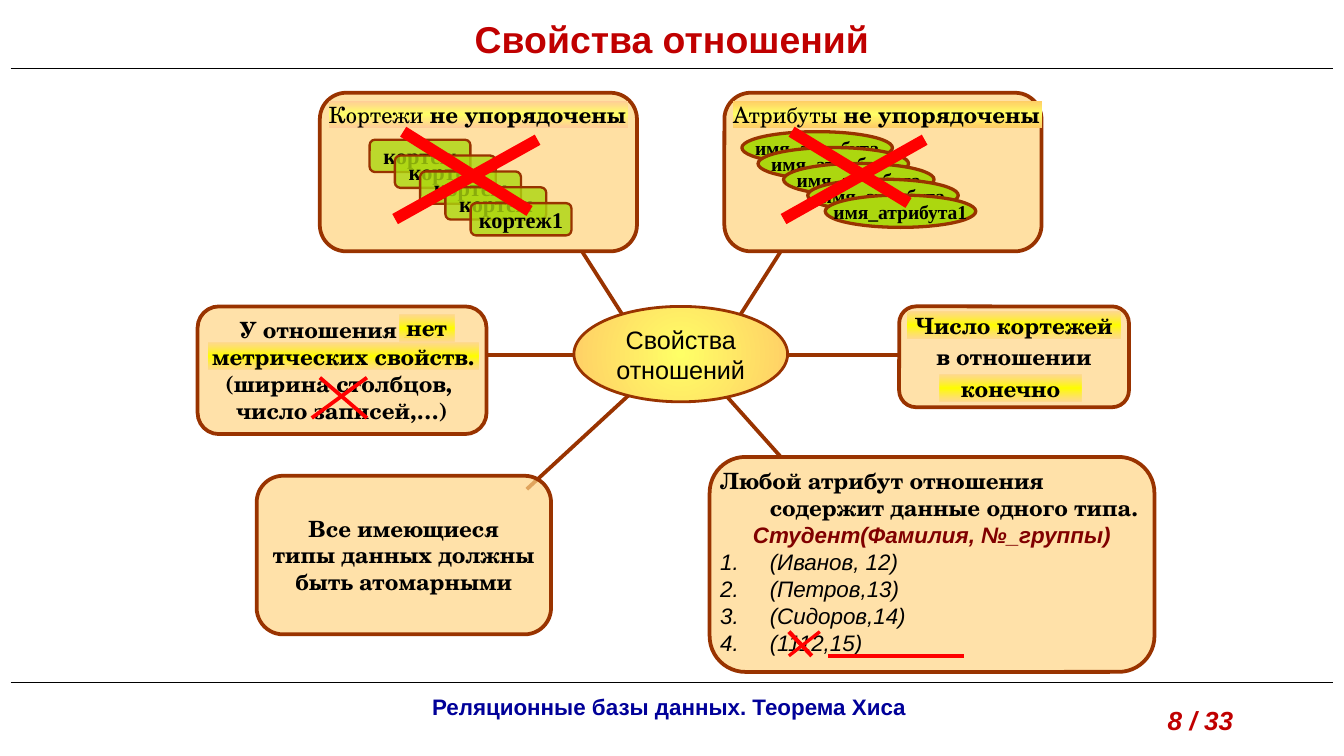
from lxml.etree import SubElement
from pptx import Presentation
from pptx.dml.color import RGBColor
from pptx.enum.shapes import MSO_CONNECTOR, MSO_SHAPE
from pptx.enum.text import MSO_ANCHOR, PP_ALIGN
from pptx.oxml import parse_xml
from pptx.oxml.ns import nsdecls, qn
from pptx.util import Inches, Pt

BLACK = RGBColor(0x00, 0x00, 0x00)
NAVY = RGBColor(0x00, 0x00, 0x99)
CRIMSON = RGBColor(0xC0, 0x00, 0x00)
MAROON = RGBColor(0x80, 0x00, 0x00)
BROWN = RGBColor(0x99, 0x33, 0x00)
RED = RGBColor(0xFF, 0x00, 0x00)
GOLD = RGBColor(0xFF, 0xCC, 0x00)
AMBER = RGBColor(0xFF, 0xCC, 0x66)
PEACH = RGBColor(0xFF, 0xCC, 0x99)
SAND = RGBColor(0xFF, 0xD5, 0x85)
LEMON = RGBColor(0xFF, 0xFF, 0x66)
YELLOW = RGBColor(0xFF, 0xFF, 0x00)
LIME = RGBColor(0xAC, 0xD7, 0x0F)

SERIF = "TeX Gyre Schola"
SANS = "Arial"
ROMAN = "Times New Roman"
CELL = Inches(0.1)
LEFT, MID = PP_ALIGN.LEFT, PP_ALIGN.CENTER

deck = Presentation()
deck.slide_width, deck.slide_height = Inches(10), Inches(5.625)
slide = deck.slides.add_slide(deck.slide_layouts[6])


def cells(*nums):
    return [round(num * CELL) for num in nums]


def inner(box, left, top, width, height):
    return box[0] + left, box[1] + top, width, height


def write(shape, text, size=12, font=SERIF, color=BLACK, bold=True, italic=False,
          align=MID, anchor=MSO_ANCHOR.MIDDLE, wrap=True, pad=(0, 0), hang=0):
    frame = shape.text_frame
    frame.word_wrap, frame.vertical_anchor = wrap, anchor
    frame.margin_left = frame.margin_right = Inches(pad[0])
    frame.margin_top = frame.margin_bottom = Inches(pad[1])
    rows = [[(text, {})]] if isinstance(text, str) else text
    for num, row in enumerate(rows):
        para = frame.paragraphs[0] if num == 0 else frame.add_paragraph()
        look = row[0][1]
        para.alignment = look.get("align", align)
        if hang:
            props = para._p.get_or_add_pPr()
            props.set("marL", str(Inches(hang)))
            props.set("indent", str(-Inches(hang)))
            if look.get("count"):
                SubElement(props, qn("a:buFont"), typeface=SANS)
                SubElement(props, qn("a:buAutoNum"), type="arabicPeriod")
        for words, style in row:
            run = para.add_run()
            run.text = words
            run.font.size = Pt(size)
            run.font.name = style.get("font", font)
            run.font.bold = style.get("bold", bold)
            run.font.italic = style.get("italic", italic)
            run.font.color.rgb = style.get("color", color)


def blend(shape, stops, round_=False):
    marks = "".join(
        f'<a:gs pos="{pos * 1000}"><a:srgbClr val="{color}">'
        f'<a:alpha val="{alpha * 1000}"/></a:srgbClr></a:gs>'
        for pos, color, alpha in stops)
    way = ('<a:path path="circle"><a:fillToRect l="50000" t="50000" r="50000" '
           'b="50000"/></a:path>' if round_ else '<a:lin ang="5400000" scaled="0"/>')
    fill = parse_xml(f'<a:gradFill {nsdecls("a")} rotWithShape="1">'
                     f'<a:gsLst>{marks}</a:gsLst>{way}</a:gradFill>')
    shape._element.spPr.find(qn("a:prstGeom")).addnext(fill)


def form(box, kind, fill=None, alpha=100, edge=0):
    shape = slide.shapes.add_shape(kind, *cells(*box))
    shape.shadow.inherit = False
    if fill is not None:
        shape.fill.solid()
        shape.fill.fore_color.rgb = fill
        SubElement(shape.fill._xPr.find(qn("a:solidFill"))[0], qn("a:alpha"),
                   val=str(alpha * 1000))
    if edge:
        shape.line.color.rgb = BROWN
        shape.line.width = Pt(edge)
    else:
        shape.line.fill.background()
    return shape


def stroke(start, end, color=BROWN, width=2.0):
    line = slide.shapes.add_connector(MSO_CONNECTOR.STRAIGHT, *cells(*start, *end))
    line.line.color.rgb = color
    line.line.width = Pt(width)
    SubElement(line._element.spPr, qn("a:effectLst"))


def cross(box, falls, climbs, widths):
    for (x, y, w, h), width in zip((climbs, falls), widths):
        left, top = box[0] + x, box[1] + y
        stroke((left, top), (left + w, top + h), RED, width)


def card(box, fill=SAND, alpha=70):
    return form(box, MSO_SHAPE.ROUNDED_RECTANGLE, fill, alpha, 2)


def band(box, text, rim=SAND, core=YELLOW, alpha=70, **look):
    shape = form(box, MSO_SHAPE.RECTANGLE)
    blend(shape, [(0, rim, alpha), (50, core, 100), (100, rim, alpha)])
    write(shape, text, anchor=MSO_ANCHOR.TOP, **look)


def label(box, text, **look):
    write(slide.shapes.add_textbox(*cells(*box)), text, font=SANS, pad=(0.1, 0.05), **look)


def frame(box):
    left, top, width, height = box
    for row in (5.1, 50.8):
        stroke((left + 0.8, top + row), (left + width - 0.8, top + row), BLACK, 0.75)
    label(inner(box, 0, 0.6, width, 4.5), "Свойства отношений", size=20, color=CRIMSON)
    label(inner(box, 12.5, 51.1, 74.6, 3), "Реляционные базы данных. Теорема Хиса",
          color=NAVY, anchor=MSO_ANCHOR.TOP)
    label(inner(box, 85.9, 51.9, 10.2, 3.4), "8 / 33", size=14, color=CRIMSON,
          italic=True, align=LEFT, anchor=MSO_ANCHOR.TOP)


def hub(box):
    spokes = [((11.2, 6.5), (15.4, 11.2)), ((0.6, -4.1), (3.6, 0.6)),
              ((15.4, -4.1), (12.4, 0.6)), ((16, 3.6), (24.2, 3.6)),
              ((-6.5, 3.6), (0, 3.6)), ((4.2, 6.5), (-3.5, 13.6))]
    for start, end in spokes:
        stroke(inner(box, *start, 0, 0)[:2], inner(box, *end, 0, 0)[:2])
    shape = form(box, MSO_SHAPE.OVAL, edge=1.5)
    blend(shape, [(0, LEMON, 100), (100, AMBER, 100)], True)
    write(shape, "Свойства отношений", size=13.5, font=SANS, bold=False)


def stack(box, head, wide, rim, word, kind, size, spots, alpha, edge, font_size, pad):
    card(box, AMBER, 60)
    band(inner(box, 0.65, 0.6, wide, 2), [[(head, {"bold": False}), ("не упорядочены", {})]],
         rim, LEMON, 100, align=LEFT, wrap=False)
    for num, (left, top) in enumerate(spots):
        shape = form(inner(box, left, top, *size), kind, LIME, alpha, edge)
        last = num == len(spots) - 1
        write(shape, word + "1" * last, size=font_size, font=ROMAN, wrap=False, pad=pad)


def tuples(box):
    spots = [(3.7 + 1.88 * num, 3.5 + 1.18 * num) for num in range(5)]
    stack(box, "Кортежи ", 22.3, PEACH, "кортеж", MSO_SHAPE.ROUNDED_RECTANGLE,
          (7.5, 2.4), spots, 80, 1.25, 12, (0, 0))
    cross(box, (6.2, 2.9, 9.4, 5.9), (5.6, 9.4, 10.6, -5.9), (6.25, 6.25))


def fields(box):
    spots = [(left, 2.9 + 1.18 * num) for num, left in enumerate((1.3, 2.5, 4.4, 6.2, 7.5))]
    stack(box, "Атрибуты ", 23, AMBER, "имя_атрибута", MSO_SHAPE.OVAL,
          (11.2, 2.4), spots, 100, 1.75, 10.5, (0.07, 0.04))
    cross(box, (5, 2.9, 8.7, 5.3), (4.4, 9.4, 10.5, -5.9), (6.25, 6.25))


def metric(box):
    write(card(box), [
        [("У отношения ", {}), ("нет метрических свойств.", {"color": GOLD})],
        [("(ширина столбцов, ", {})], [("число записей,…)", {})]])
    cross(box, (9.1, 5.3, 3.5, 3), (8.5, 8.3, 4.1, -3), (2, 2))
    band(inner(box, 15, 0.6, 4.1, 2), "нет")
    band(inner(box, 0.8, 2.7, 20.1, 2), "метрических свойств.")


def finite(box):
    write(card(box), "в отношении")
    band(inner(box, 0.6, 0.4, 15.9, 2), "Число кортежей")
    band(inner(box, 3, 5.1, 10.6, 2), "конечно")


def typed(box):
    item = {"font": SANS, "bold": False, "italic": True, "count": True}
    rows = ("(Иванов, 12)", "(Петров,13)", "(Сидоров,14)", "(1112,15)")
    sample = {"font": SANS, "color": MAROON, "italic": True, "align": MID}
    write(card(box), [
        [("Любой атрибут отношения содержит данные одного типа.", {})],
        [("Студент(Фамилия, №_группы)", sample)],
        *([(row, item)] for row in rows)],
        align=LEFT, anchor=MSO_ANCHOR.TOP, hang=0.37)
    stroke((box[0] + 8.8, box[1] + 14.8), (box[0] + 18.9, box[1] + 14.8), RED)
    cross(box, (5.9, 13, 1.7, 1.8), (5.9, 14.8, 2.3, -1.8), (1.75, 2.25))


def atomic(box):
    rows = ("Все имеющиеся", "типы данных должны", "быть атомарными")
    write(card(box), [[(row, {})] for row in rows])


frame((0, 0, 100, 56.25))
hub((42.7, 22.8, 15.9, 7.1))
tuples((23.8, 6.9, 23.6, 11.8))
fields((53.9, 6.9, 23.6, 11.8))
metric((14.7, 22.8, 21.5, 9.5))
typed((52.8, 34, 33.1, 16))
finite((66.9, 22.8, 17.1, 7.5))
atomic((19.1, 35.4, 21.9, 11.8))
deck.save("out.pptx")
